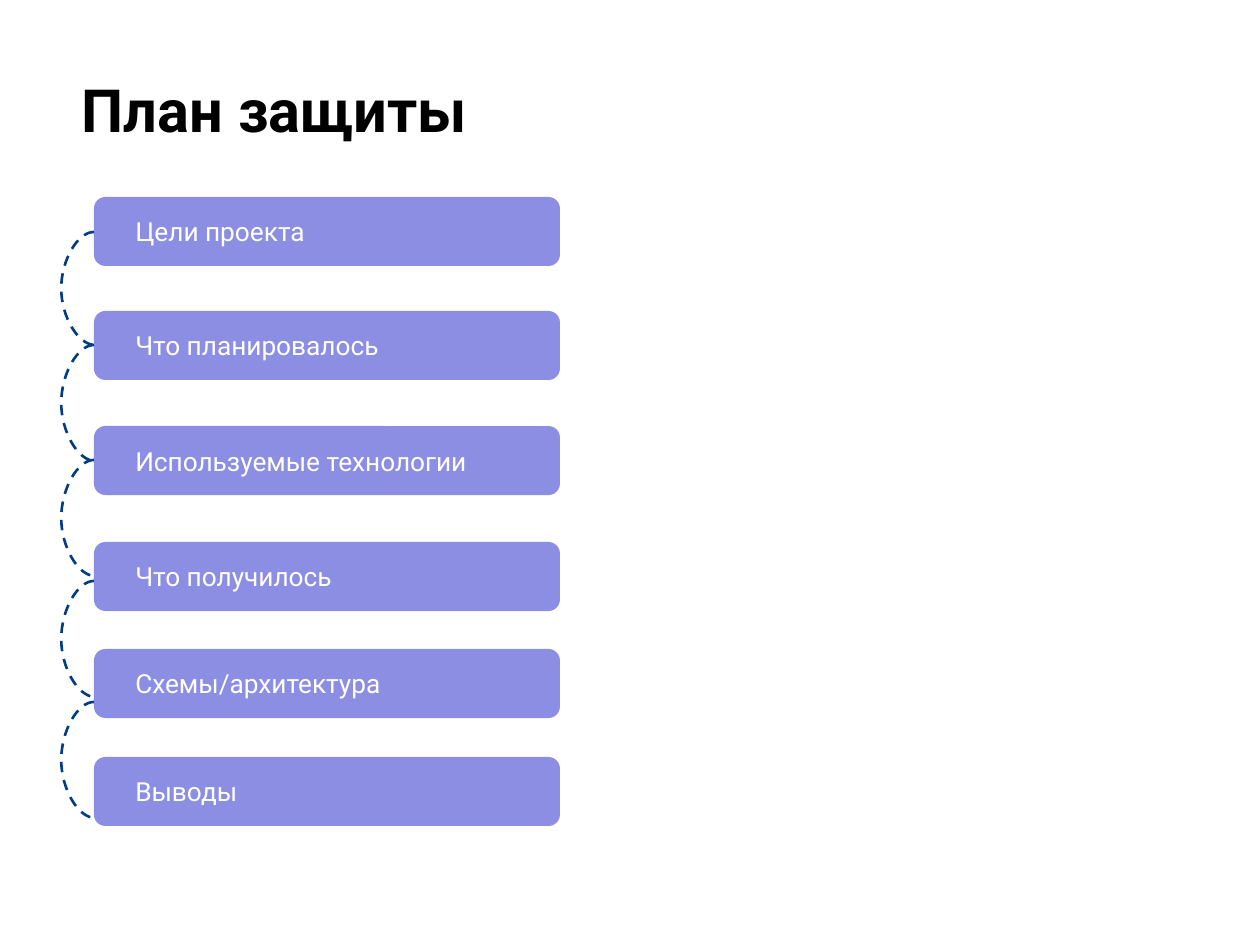
from dataclasses import dataclass

from lxml import etree
from pptx import Presentation
from pptx import util as u
from pptx.dml.color import RGBColor
from pptx.enum import dml, shapes, text
from pptx.oxml import ns

PX = u.Inches(1) / 126
FONT = "Roboto"
BLACK = RGBColor(0x00, 0x00, 0x00)
WHITE = RGBColor(0xFF, 0xFF, 0xFF)
LAVENDER = RGBColor(0x8B, 0x8E, 0xE3)
NAVY = RGBColor(0x01, 0x3D, 0x85)

STEP_LEFT, STEP_WIDTH, STEP_HEIGHT = 94, 466, 69
ARC_BULGE = 33


@dataclass(frozen=True)
class Step:
    label: str
    top: int


@dataclass(frozen=True)
class Arc:
    top: int
    height: int


STEPS = (
    Step("Цели проекта", 197),
    Step("Что планировалось", 311),
    Step("Используемые технологии", 426),
    Step("Что получилось", 542),
    Step("Схемы/архитектура", 649),
    Step("Выводы", 757),
)
ARCS = (Arc(232, 113), Arc(345, 116), Arc(460, 116), Arc(581, 116), Arc(702, 116))


def px(value: float) -> u.Emu:
    return u.Emu(round(value * PX))


def write_text(shape, content: str, *, size: int, color: RGBColor, inset: int,
               bold: bool = False, anchor=text.MSO_ANCHOR.TOP) -> None:
    frame = shape.text_frame
    frame.word_wrap = True
    frame.auto_size = text.MSO_AUTO_SIZE.NONE
    frame.vertical_anchor = anchor
    frame.margin_left = frame.margin_right = px(inset)
    frame.margin_top = frame.margin_bottom = u.Inches(0.1)
    paragraph = frame.paragraphs[0]
    paragraph.alignment = text.PP_ALIGN.LEFT
    run = paragraph.add_run()
    run.text = content
    run.font.name = FONT
    run.font.size = u.Pt(size)
    run.font.bold = bold
    run.font.color.rgb = color


def draw_step(slide, step: Step) -> None:
    bar = slide.shapes.add_shape(
        shapes.MSO_SHAPE.ROUNDED_RECTANGLE,
        px(STEP_LEFT), px(step.top), px(STEP_WIDTH), px(STEP_HEIGHT))
    bar.shadow.inherit = False
    bar.fill.solid()
    bar.fill.fore_color.rgb = LAVENDER
    bar.line.fill.background()
    write_text(bar, step.label, size=15, color=WHITE, inset=38,
               anchor=text.MSO_ANCHOR.MIDDLE)


def draw_arc(slide, arc: Arc) -> None:
    link = slide.shapes.add_connector(
        shapes.MSO_CONNECTOR.CURVE,
        px(STEP_LEFT), px(arc.top), px(STEP_LEFT + 1), px(arc.top + arc.height))
    link.line.color.rgb = NAVY
    link.line.width = u.Pt(1.5)
    link.line.dash_style = dml.MSO_LINE.DASH
    properties = link._element.spPr
    etree.SubElement(properties, ns.qn("a:effectLst"))
    guides = properties.find(ns.qn("a:prstGeom")).get_or_add_avLst()
    etree.SubElement(guides, ns.qn("a:gd"), name="adj1",
                     fmla=f"val {-ARC_BULGE * 100000}")


def main() -> None:
    deck = Presentation()
    deck.slide_width, deck.slide_height = u.Inches(10), u.Inches(7.5)
    slide = deck.slides.add_slide(deck.slide_layouts[5])
    heading = slide.shapes.title
    heading.left, heading.top = px(69), px(60)
    heading.width, heading.height = px(1174), px(103)
    write_text(heading, "План защиты", size=34, color=BLACK, inset=13, bold=True)
    for step in STEPS:
        draw_step(slide, step)
    for arc in ARCS:
        draw_arc(slide, arc)
    deck.save("out.pptx")


main()
